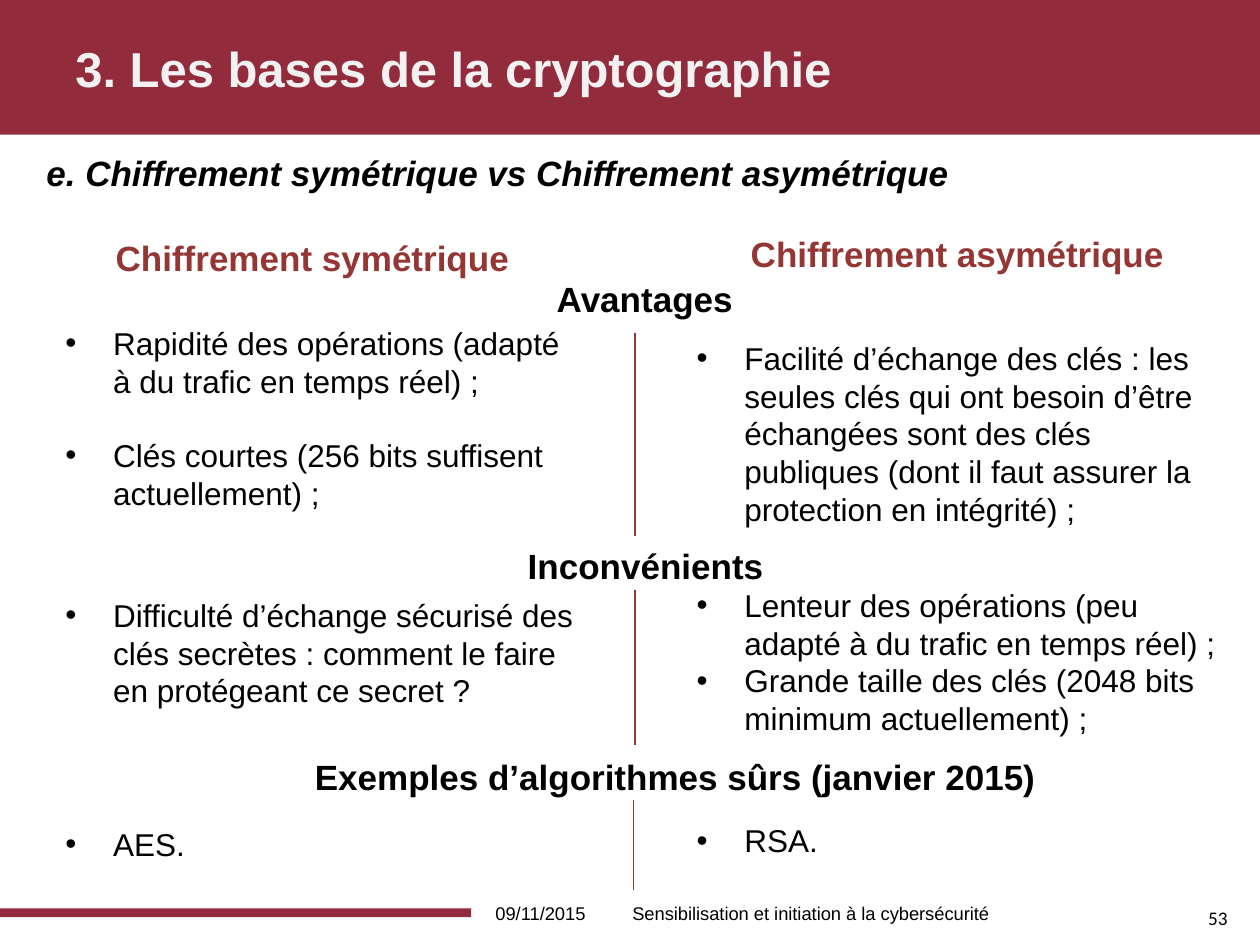
from pptx import Presentation
from pptx.dml.color import RGBColor
from pptx.enum.shapes import MSO_CONNECTOR as Connector, MSO_SHAPE as Shape
from pptx.enum.text import MSO_ANCHOR as Anchor, MSO_AUTO_SIZE as AutoSize, PP_ALIGN as Align
from pptx.oxml.ns import qn
from pptx.util import Inches, Pt
from lxml.etree import SubElement

COLORS = {"band": "922B3C", "title": "F2F2F2", "text": "000000",
          "column": "943634", "divider": "953735"}
FORMATS = {
    "title": {"size": Pt(28), "bold": True},
    "subtitle": {"size": Pt(20), "bold": True, "italic": True},
    "heading": {"size": Pt(20), "bold": True},
    "body": {"size": Pt(18)},
    "footer": {"size": Pt(10.5)},
    "number": {"size": Pt(11), "name": "Calibri"},
}


class SlideWriter:
    def __init__(self, page):
        self.page = page
        self.font = "Arial"
        self.indent = Inches(0.38)

    def color(self, name):
        return RGBColor.from_string(COLORS[name])

    def band(self, left, top, width, height):
        bar = self.page.shapes.add_shape(Shape.RECTANGLE, *map(Inches, (left, top, width, height)))
        bar.shadow.inherit = False
        bar.fill.solid()
        bar.fill.fore_color.rgb = self.color("band")
        bar.line.fill.background()

    def divider(self, x, top, bottom):
        line = self.page.shapes.add_connector(
            Connector.STRAIGHT, *map(Inches, (x, top, x, bottom)))
        line.line.color.rgb = self.color("divider")
        line.line.width = Pt(0.75)
        SubElement(line._element.spPr, qn("a:effectLst"))

    def text(self, place, paragraphs, style, color="text", wrap=True,
             anchor=Anchor.TOP, align=Align.LEFT, bullets=False, gap=0):
        box = self.page.shapes.add_textbox(*map(Inches, place))
        frame = box.text_frame
        settings = {"word_wrap": wrap, "auto_size": AutoSize.NONE, "vertical_anchor": anchor}
        for name, value in settings.items():
            setattr(frame, name, value)
        for index, content in enumerate(paragraphs):
            para = frame.add_paragraph() if index else frame.paragraphs[0]
            para.alignment = align
            if index and gap:
                para.space_before = Pt(gap)
            if bullets:
                self.bullet(para)
            span = para.add_run()
            span.text = content
            span.font.color.rgb = self.color(color)
            for name, value in {"name": self.font, **FORMATS[style]}.items():
                setattr(span.font, name, value)

    def bullet(self, para):
        properties = para._p.get_or_add_pPr()
        properties.set("marL", str(self.indent))
        properties.set("indent", str(-self.indent))
        SubElement(properties, qn("a:buFont"), typeface=self.font)
        SubElement(properties, qn("a:buChar"), char="•")

    def heading(self, left, top, width, content, color="text"):
        self.text((left, top, width, 0.44), [content], "heading", color, wrap=False)

    def bullets(self, left, top, width, height, items, gap=0):
        self.text((left, top, width, height), items, "body", bullets=True, gap=gap)


def main():
    deck = Presentation()
    deck.slide_width, deck.slide_height = Inches(10), Inches(7.5)
    writer = SlideWriter(deck.slides.add_slide(deck.slide_layouts[6]))

    writer.band(0, 0, 10, 1.07)
    writer.band(0, 7.21, 3.74, 0.07)
    writer.text((0.5, 0.01, 9, 1.06), ["3. Les bases de la cryptographie"],
                "title", "title", anchor=Anchor.MIDDLE)
    writer.text((0.27, 1.15, 9.53, 0.63),
                ["e. Chiffrement symétrique vs Chiffrement asymétrique"], "subtitle")

    writer.heading(0.82, 1.83, 3.43, "Chiffrement symétrique", "column")
    writer.heading(5.86, 1.8, 3.59, "Chiffrement asymétrique", "column")
    writer.heading(4.32, 2.15, 1.65, "Avantages")
    writer.heading(4.09, 4.27, 2.14, "Inconvénients")
    writer.heading(2.4, 5.95, 6.12, "Exemples d’algorithmes sûrs (janvier 2015)")

    for x, top, bottom in [(5.04, 2.64, 4.25), (5.04, 4.68, 5.91), (5.03, 6.35, 7.06)]:
        writer.divider(x, top, bottom)

    symmetric, asymmetric = 0.42, 5.43
    writer.bullets(symmetric, 2.52, 4.29, 1.62, [
        "Rapidité des opérations (adapté à du trafic en temps réel) ;",
        "Clés courtes (256 bits suffisent actuellement) ;"], gap=21)
    writer.bullets(asymmetric, 2.64, 4.37, 1.62, [
        "Facilité d’échange des clés : les seules clés qui ont besoin d’être échangées "
        "sont des clés publiques (dont il faut assurer la protection en intégrité) ;"])
    writer.bullets(symmetric, 4.68, 4.29, 1.01, [
        "Difficulté d’échange sécurisé des clés secrètes : "
        "comment le faire en protégeant ce secret ?"])
    writer.bullets(asymmetric, 4.6, 4.38, 1.31, [
        "Lenteur des opérations (peu adapté à du trafic en temps réel) ;",
        "Grande taille des clés (2048 bits minimum actuellement) ;"])
    writer.bullets(symmetric, 6.5, 4.29, 0.4, ["AES."])
    writer.bullets(asymmetric, 6.47, 4.29, 0.4, ["RSA."])

    writer.text((3.74, 7.05, 1.1, 0.4), ["09/11/2015"], "footer",
                anchor=Anchor.MIDDLE, align=Align.CENTER)
    writer.text((4.92, 7.05, 3.32, 0.4), ["Sensibilisation et initiation à la cybersécurité"],
                "footer", anchor=Anchor.MIDDLE)
    writer.text((9.49, 7.14, 0.46, 0.29), ["53"], "number", wrap=False)

    deck.save("out.pptx")


if __name__ == "__main__":
    main()
